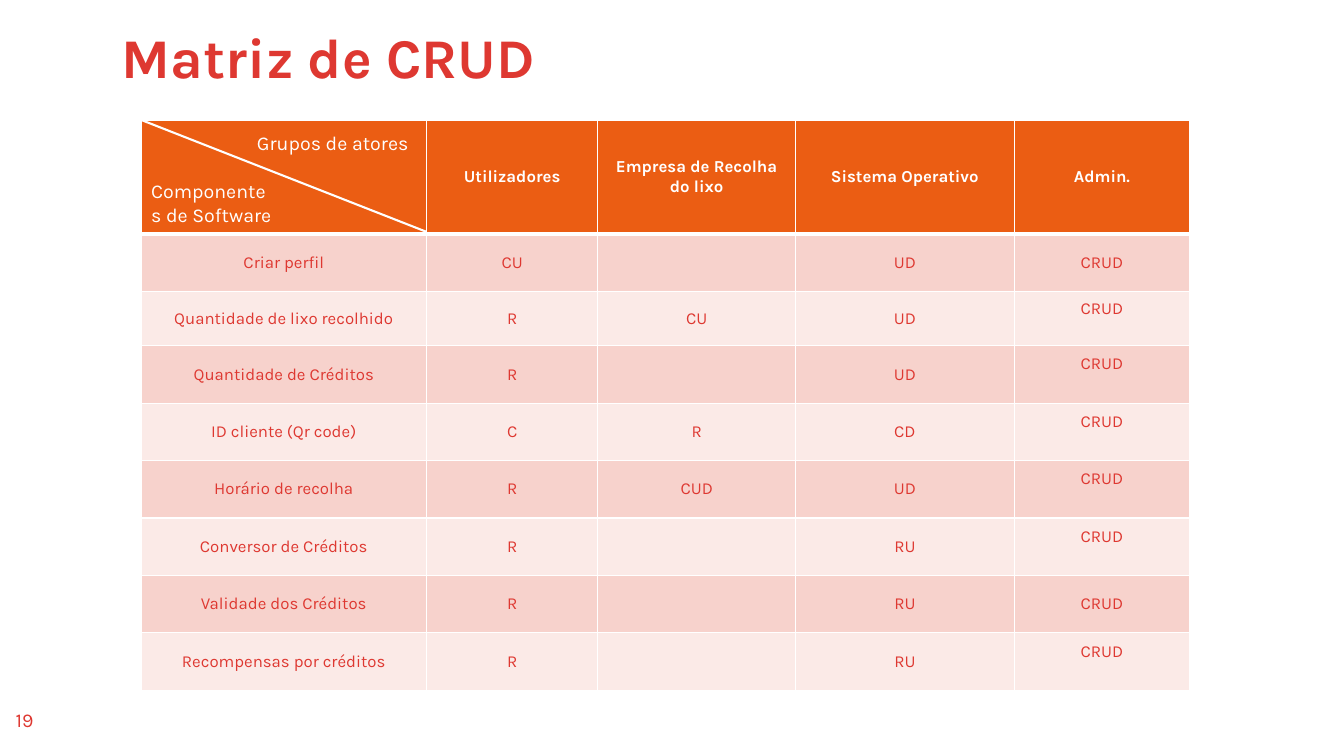
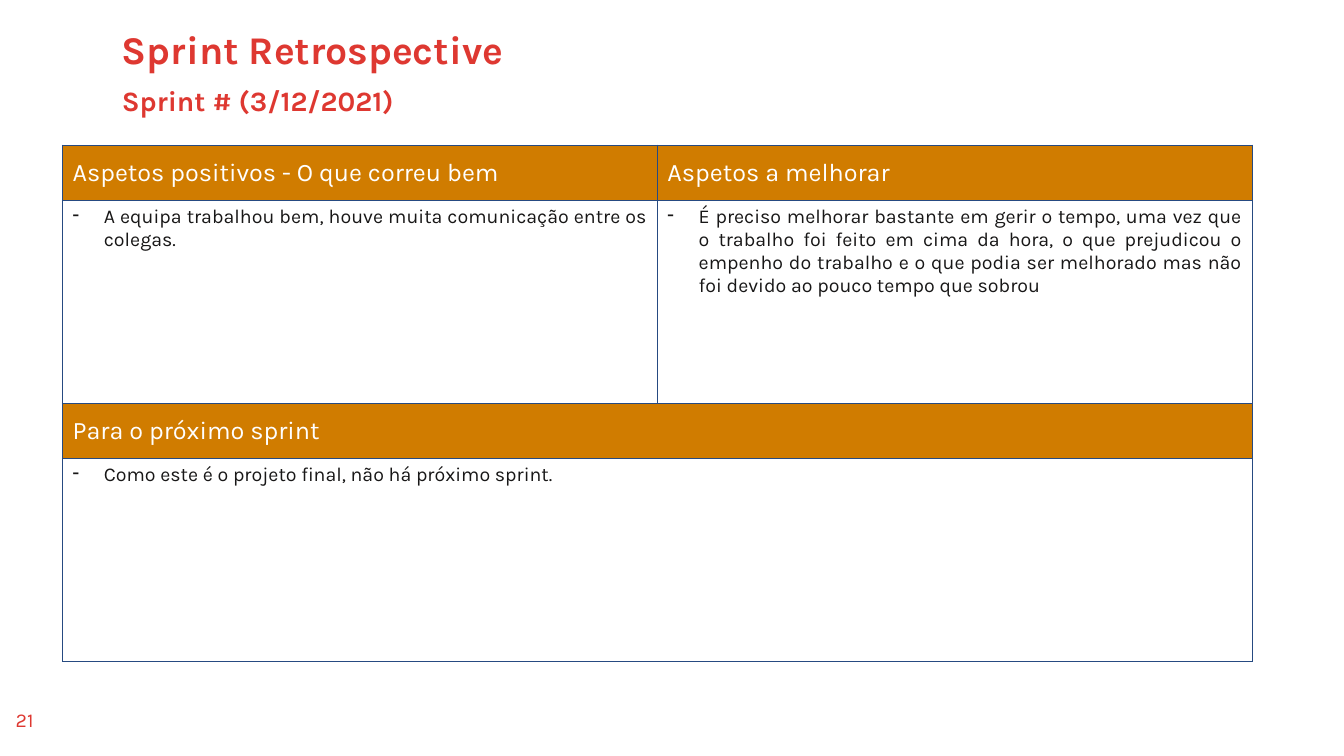
from dataclasses import dataclass

from lxml import etree
from pptx import Presentation
from pptx.dml.color import RGBColor
from pptx.enum.shapes import MSO_CONNECTOR as Connector
from pptx.enum.text import MSO_ANCHOR as Anchor, MSO_AUTO_SIZE as AutoSize, PP_ALIGN as Align
from pptx.oxml.ns import qn
from pptx.util import Inches, Pt

# Shared look
FONT = "Karla"
RED = RGBColor(0xDE, 0x38, 0x31)
WHITE = RGBColor(0xFF, 0xFF, 0xFF)
ORANGE = RGBColor(0xEB, 0x5D, 0x13)
ROSE = RGBColor(0xF7, 0xD2, 0xCC)
PALE_ROSE = RGBColor(0xFB, 0xEA, 0xE7)
AMBER = RGBColor(0xD0, 0x7C, 0x00)
NAVY = RGBColor(0x26, 0x4A, 0x81)
INK = RGBColor(0x18, 0x17, 0x17)

HEADING_LEFT, HEADING_WIDTH = 1.11, 10.41


@dataclass(frozen=True)
class TextStyle:
    size: float
    color: RGBColor
    bold: bool = False
    align: Align = Align.LEFT
    spacing: float = 1.0


@dataclass(frozen=True)
class CellStyle:
    text: TextStyle
    fill: RGBColor
    border: RGBColor
    anchor: Anchor = Anchor.MIDDLE
    dashed: bool = False
    top_width: float = 1
    bottom_width: float = 1


@dataclass(frozen=True)
class Box:
    left: float
    top: float
    width: float
    height: float

    def lengths(self) -> tuple:
        return tuple(Inches(v) for v in (self.left, self.top, self.width, self.height))


PAGE_NUMBER = TextStyle(14, RED, align=Align.CENTER)
CORNER_LABEL = TextStyle(14, WHITE)
SUBTITLE = TextStyle(20, RED, bold=True, spacing=0.9)

# CRUD matrix
ACTORS = ["", "Utilizadores", "Empresa de Recolha do lixo", "Sistema Operativo", "Admin."]
COMPONENTS = [
    ("Criar perfil", "CU", "", "UD", "CRUD"),
    ("Quantidade de lixo recolhido", "R", "CU", "UD", "CRUD"),
    ("Quantidade de Créditos", "R", "", "UD", "CRUD"),
    ("ID cliente (Qr code)", "C", "R", "CD", "CRUD"),
    ("Horário de recolha", "R", "CUD", "UD", "CRUD"),
    ("Conversor de Créditos", "R", "", "RU", "CRUD"),
    ("Validade dos Créditos", "R", "", "RU", "CRUD"),
    ("Recompensas por créditos", "R", "", "RU", "CRUD"),
]
RAISED_ADMIN_ROWS = {2, 3, 4, 5, 6, 8}

# Retrospective
RETROSPECTIVE = [
    ("Aspetos positivos - O que correu bem", "Aspetos a melhorar"),
    (
        "A equipa trabalhou bem, houve muita comunicação entre os colegas.",
        "É preciso melhorar bastante em gerir o tempo, uma vez que o trabalho foi feito "
        "em cima da hora, o que prejudicou o empenho do trabalho e o que podia ser "
        "melhorado mas não foi devido ao pouco tempo que sobrou",
    ),
    ("Para o próximo sprint",),
    ("Como este é o projeto final, não há próximo sprint.",),
]


def write(frame, text: str, style: TextStyle) -> None:
    frame.text = text
    paragraph = frame.paragraphs[0]
    paragraph.alignment = style.align
    paragraph.line_spacing = style.spacing
    for run in paragraph.runs:
        run.font.name = FONT
        run.font.size = Pt(style.size)
        run.font.bold = style.bold
        run.font.color.rgb = style.color


def add_label(slide, box: Box, text: str, style: TextStyle) -> None:
    frame = slide.shapes.add_textbox(*box.lengths()).text_frame
    frame.word_wrap = True
    write(frame, text, style)


def add_titled_slide(prs, title: str, size: float, height: float, number: int):
    """Add a slide with its title and page number."""
    slide = prs.slides.add_slide(prs.slide_layouts[5])
    heading = slide.shapes.title
    heading.left, heading.top, heading.width, heading.height = Box(
        HEADING_LEFT, 0.25, HEADING_WIDTH, height).lengths()
    frame = heading.text_frame
    frame.auto_size = AutoSize.NONE
    frame.vertical_anchor = Anchor.TOP
    write(frame, title, TextStyle(size, RED, bold=True, spacing=0.9))
    add_label(slide, Box(0.01, 6.97, 0.47, 0.4), str(number), PAGE_NUMBER)
    return slide


def add_grid(slide, left: float, top: float, widths: list[float], heights: list[float]):
    """Add a plain table without banding."""
    box = Box(left, top, sum(widths), sum(heights))
    table = slide.shapes.add_table(len(heights), len(widths), *box.lengths()).table
    table.first_row = table.horz_banding = False
    for column, width in zip(table.columns, widths):
        column.width = Inches(width)
    for row, height in zip(table.rows, heights):
        row.height = Inches(height)
    return table


def add_borders(cell, style: CellStyle) -> None:
    sides = {"L": 1, "R": 1, "T": style.top_width, "B": style.bottom_width}
    properties = cell._tc.get_or_add_tcPr()
    for side, width in sides.items():
        line = etree.SubElement(properties, qn(f"a:ln{side}"), w=str(Pt(width)))
        solid = etree.SubElement(line, qn("a:solidFill"))
        etree.SubElement(solid, qn("a:srgbClr"), val=str(style.border))


def add_dash(paragraph) -> None:
    properties = paragraph._p.get_or_add_pPr()
    properties.set("marL", str(Inches(0.31)))
    properties.set("indent", str(-Inches(0.31)))
    etree.SubElement(properties, qn("a:buChar"), char="-")


def fill_cell(cell, text: str, style: CellStyle) -> None:
    add_borders(cell, style)
    cell.fill.solid()
    cell.fill.fore_color.rgb = style.fill
    cell.vertical_anchor = style.anchor
    if text:
        write(cell.text_frame, text, style.text)
        if style.dashed:
            add_dash(cell.text_frame.paragraphs[0])


def build_crud_matrix(prs) -> None:
    slide = add_titled_slide(prs, "Matriz de CRUD", 40, 0.57, 19)
    left, top = 1.4, 1.19
    widths = [2.83, 1.7, 1.96, 2.17, 1.74]
    heights = [1.13, 0.57, 0.54] + [0.57] * 6
    table = add_grid(slide, left, top, widths, heights)

    # Header and alternating rows
    header = CellStyle(TextStyle(12, WHITE, True, Align.CENTER), ORANGE, WHITE, bottom_width=3)
    body = TextStyle(12, RED, align=Align.CENTER)
    for r, texts in enumerate([ACTORS, *COMPONENTS]):
        style = header if r == 0 else CellStyle(
            body, ROSE if r % 2 else PALE_ROSE, WHITE, top_width=3 if r == 1 else 1)
        for c, text in enumerate(texts):
            fill_cell(table.cell(r, c), text, style)
    for r in RAISED_ADMIN_ROWS:
        table.cell(r, len(widths) - 1).margin_bottom = Inches(0.25)

    # Split corner cell
    diagonal = slide.shapes.add_connector(
        Connector.STRAIGHT, Inches(left), Inches(top), Inches(left + widths[0]), Inches(2.3))
    diagonal.line.color.rgb = WHITE
    diagonal.line.width = Pt(1.5)
    etree.SubElement(diagonal._element.spPr, qn("a:effectLst"))
    add_label(slide, Box(2.45, 1.25, 1.77, 0.34), "Grupos de atores", CORNER_LABEL)
    add_label(slide, Box(left, 1.73, 1.42, 0.57), "Componentes de Software", CORNER_LABEL)


def build_retrospective(prs) -> None:
    slide = add_titled_slide(prs, "Sprint Retrospective", 28, 0.45, 21)
    add_label(slide, Box(HEADING_LEFT, 0.82, HEADING_WIDTH, 0.42),
              "Sprint # (3/12/2021)", SUBTITLE)
    table = add_grid(slide, 0.62, 1.44, [5.9] * 2, [0.55, 2.01] * 2)

    # Heading rows alternate with notes
    heading = CellStyle(TextStyle(18, WHITE, align=Align.JUSTIFY), AMBER, NAVY)
    notes = CellStyle(TextStyle(14, INK, align=Align.JUSTIFY), WHITE, NAVY,
                      anchor=Anchor.TOP, dashed=True)
    for r, texts in enumerate(RETROSPECTIVE):
        if len(texts) == 1:
            table.cell(r, 0).merge(table.cell(r, 1))
        for c in range(2):
            text = texts[c] if c < len(texts) else ""
            fill_cell(table.cell(r, c), text, notes if r % 2 else heading)


def main() -> None:
    prs = Presentation()
    prs.slide_width, prs.slide_height = Inches(13.33), Inches(7.5)
    build_crud_matrix(prs)
    build_retrospective(prs)
    prs.save("out.pptx")


if __name__ == "__main__":
    main()
